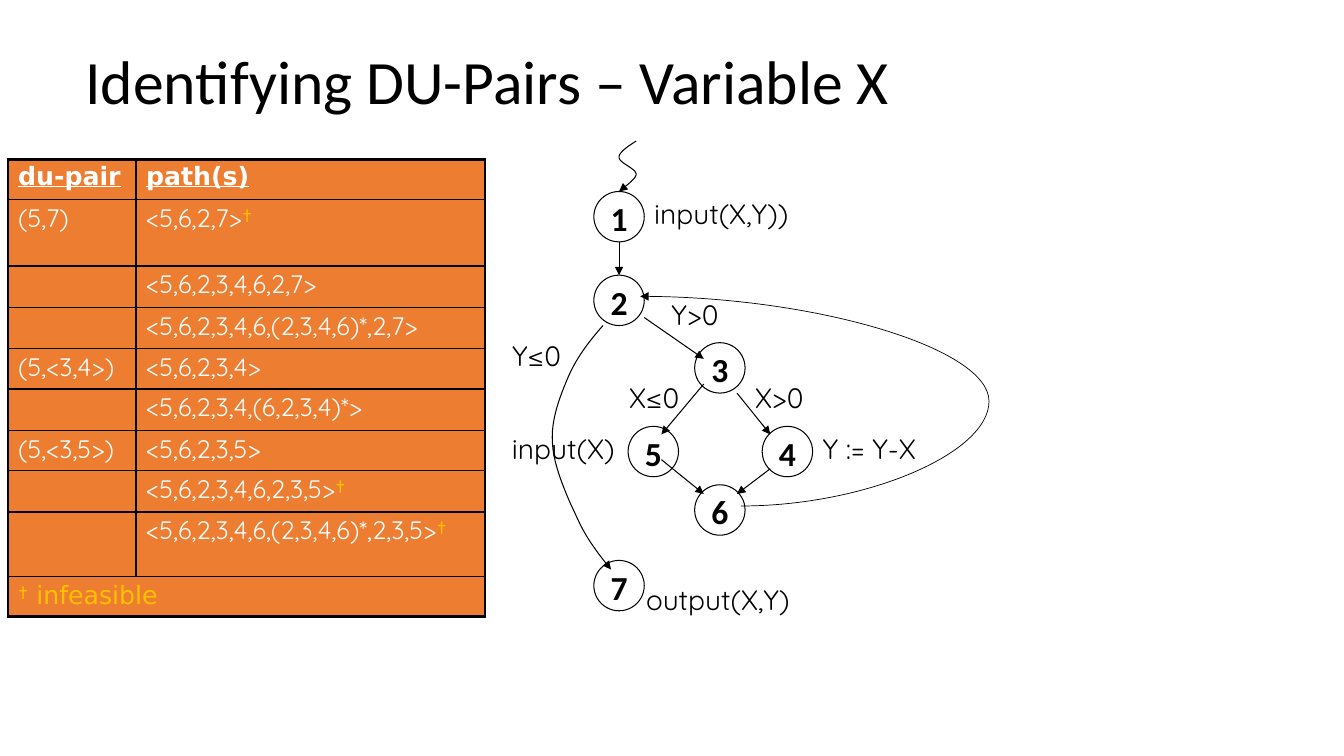
import pptx
import pptx.util
import pptx.dml.color
import pptx.enum.shapes
import pptx.enum.text
import pptx.oxml.ns
from lxml import etree

Inches, Pt = pptx.util.Inches, pptx.util.Pt
SHAPE = pptx.enum.shapes.MSO_SHAPE
LINK = pptx.enum.shapes.MSO_CONNECTOR
ANCHOR = pptx.enum.text.MSO_ANCHOR
ALIGN = pptx.enum.text.PP_ALIGN
qn = pptx.oxml.ns.qn

COLORS = {"ink": "000000", "paper": "FFFFFF", "cell": "ED7D31", "note": "FFC000"}
DAGGER = "†"

ROWS = [
    ("du-pair", "path(s)", 0.4),
    ("(5,7)", "<5,6,2,7>†", 0.66),
    ("", "<5,6,2,3,4,6,2,7>", 0.41),
    ("", "<5,6,2,3,4,6,(2,3,4,6)*,2,7>", 0.41),
    ("(5,<3,4>)", "<5,6,2,3,4>", 0.4),
    ("", "<5,6,2,3,4,(6,2,3,4)*>", 0.41),
    ("(5,<3,5>)", "<5,6,2,3,5>", 0.4),
    ("", "<5,6,2,3,4,6,2,3,5>†", 0.41),
    ("", "<5,6,2,3,4,6,(2,3,4,6)*,2,3,5>†", 0.64),
    ("† infeasible", "", 0.4),
]

# Flow graph geometry, relative to the graph's top left corner
NODE_SIZE = 0.5
NODES = {"1": (0.91, 0.5), "2": (0.91, 1.33), "3": (1.91, 2), "4": (2.58, 2.83),
         "5": (1.25, 2.83), "6": (1.91, 3.41), "7": (0.91, 4.16)}
EDGES = [
    ((1.16, 1), (1.16, 1.33)), ((1.41, 1.75), (2, 2.16)),
    ((2.33, 2.5), (2.66, 2.91)), ((2, 2.41), (1.58, 2.91)),
    ((1.58, 3.16), (2, 3.5)), ((2.66, 3.25), (2.33, 3.5)),
]
LABELS = [
    ("input(X,Y))", 1.41, 0.5, 1.92), ("Y := Y-X", 3.08, 2.83, 1.25),
    ("input(X)", 0, 2.83, 1.33), ("Y>0", 1.58, 1.5, 0.92),
    ("X>0", 2.41, 2.33, 0.83), ("output(X,Y)", 1.33, 4.33, 1.83),
    ("X≤0", 1.16, 2.33, 0.75), ("Y≤0", 0, 1.91, 0.75),
]
ENTRY_CURVE = [(1.33, 0), (1.25, 0.05), (1.16, 0.11), (1.16, 0.16), (1.16, 0.22),
               (1.33, 0.27), (1.33, 0.33), (1.33, 0.38), (1.19, 0.47), (1.16, 0.5)]
EXIT_CURVE = [(1, 1.83), (0.87, 1.98), (0.75, 2.13), (0.66, 2.33), (0.58, 2.52),
              (0.48, 2.76), (0.5, 3), (0.51, 3.23), (0.65, 3.54), (0.75, 3.75),
              (0.84, 3.95), (0.96, 4.1), (1.08, 4.25)]


def rgb(name):
    return pptx.dml.color.RGBColor.from_string(COLORS[name])


def set_font(font, size, name, color="ink", bold=False, underline=False):
    font.size, font.name, font.bold, font.underline = Pt(size), name, bold, underline
    font.color.rgb = rgb(color)


def add_text(s, text, x, y, w, h, size, name, anchor=ANCHOR.TOP):
    tf = s.shapes.add_textbox(Inches(x), Inches(y), Inches(w), Inches(h)).text_frame
    tf.word_wrap, tf.vertical_anchor = True, anchor
    p = tf.paragraphs[0]
    p.text = text
    set_font(p.font, size, name)
    return p


def add_arrow_line(shape, width):
    shape.line.color.rgb = rgb("ink")
    shape.line.width = Pt(width)
    etree.SubElement(shape.line._get_or_add_ln(), qn("a:tailEnd"), type="triangle")


def add_connector(s, kind, x, y, begin, end, width=0.75):
    sp = s.shapes.add_connector(kind, Inches(x + begin[0]), Inches(y + begin[1]),
                                Inches(x + end[0]), Inches(y + end[1]))
    add_arrow_line(sp, width)
    etree.SubElement(sp._element.spPr, qn("a:effectLst"))
    return sp


def add_curve(s, x, y, points, steps=12):
    """Draw chained cubic curves; neighbouring curves share an end point."""
    xy = [points[0]]
    for i in range(0, len(points) - 1, 3):
        a, b, c, d = points[i:i + 4]
        for t in (k / steps for k in range(1, steps + 1)):
            u = 1 - t
            xy.append([u**3 * a[n] + 3 * u * u * t * b[n] + 3 * u * t * t * c[n]
                       + t**3 * d[n] for n in (0, 1)])
    xy = [(Inches(x + px), Inches(y + py)) for px, py in xy]
    fb = s.shapes.build_freeform(*xy[0])
    fb.add_line_segments(xy[1:], close=False)
    sp = fb.convert_to_shape()
    sp.shadow.inherit = False
    sp.fill.background()
    add_arrow_line(sp, 0.75)


def set_borders(cell, widths):
    tcPr = cell._tc.get_or_add_tcPr()
    for i, (side, width) in enumerate(zip("LRTB", widths)):
        ln = etree.Element(qn(f"a:ln{side}"), w=str(Pt(width)))
        fill = etree.SubElement(ln, qn("a:solidFill"))
        etree.SubElement(fill, qn("a:srgbClr"), val=COLORS["ink"])
        tcPr.insert(i, ln)


def add_title(s, x, y, w, h):
    p = add_text(s, "Identifying DU-Pairs – Variable X", x, y, w, h, 44, "Calibri",
                 ANCHOR.MIDDLE)
    p.line_spacing = 0.9


def fill_cell(cell, text, header, footer):
    cell.fill.solid()
    cell.fill.fore_color.rgb = rgb("cell")
    p = cell.text_frame.paragraphs[0]
    p.line_spacing = 0.9
    body, mark, rest = text.partition(DAGGER)
    for part, color in ((body, "paper"), (mark, "note"), (rest, "note")):
        if part:
            r = p.add_run()
            r.text = part
            plain = header or (footer and part == rest)
            set_font(r.font, 18, "DejaVu Sans" if plain else "Quicksand",
                     color, header, header)


def add_pairs_table(s, x, y, w, h):
    last = len(ROWS) - 1
    table = s.shapes.add_table(len(ROWS), 2, Inches(x), Inches(y),
                               Inches(w), Inches(h)).table
    table.columns[0].width = Inches(1.27)
    table.columns[1].width = Inches(w - 1.27)
    for i, (pair, path_text, height) in enumerate(ROWS):
        table.rows[i].height = Inches(height)
        for j, text in enumerate((pair, path_text)):
            cell = table.cell(i, j)
            fill_cell(cell, text, i == 0, i == last)
            outer = (j == 0, j == 1 or i == last, i == 0, i == last)
            set_borders(cell, [2.25 if edge else 1 for edge in outer])
    table.cell(last, 0).merge(table.cell(last, 1))


def add_flow_graph(s, x, y):
    # Nodes
    for number, (dx, dy) in NODES.items():
        sp = s.shapes.add_shape(SHAPE.OVAL, Inches(x + dx), Inches(y + dy),
                                Inches(NODE_SIZE), Inches(NODE_SIZE))
        sp.shadow.inherit = False
        sp.fill.solid()
        sp.fill.fore_color.rgb = rgb("paper")
        sp.line.color.rgb = rgb("ink")
        sp.line.width = Pt(0.75)
        tf = sp.text_frame
        tf.margin_left = tf.margin_right = tf.margin_bottom = 0
        tf.margin_top = Inches(0.03)
        tf.word_wrap, tf.vertical_anchor = False, ANCHOR.MIDDLE
        p = tf.paragraphs[0]
        p.text, p.alignment = number, ALIGN.CENTER
        set_font(p.font, 24, "Calibri", bold=True)
    # Edges
    for begin, end in EDGES:
        add_connector(s, LINK.STRAIGHT, x, y, begin, end)
    for points in (ENTRY_CURVE, EXIT_CURVE):
        add_curve(s, x, y, points)
    # Loop back from node 6 to node 2, bulging to the right
    loop = add_connector(s, LINK.CURVE, x, y, (2.37, 3.62), (1.37, 1.54), 0.5)
    guides = loop._element.spPr.find(qn("a:prstGeom")).find(qn("a:avLst"))
    etree.SubElement(guides, qn("a:gd"), name="adj1", fmla="val -246000")
    # Labels
    for text, dx, dy, w in LABELS:
        add_text(s, text, x + dx, y + dy, w, 0.43, 20, "Quicksand")


def main():
    prs = pptx.Presentation()
    prs.slide_width, prs.slide_height = Inches(13.33), Inches(7.5)
    s = prs.slides.add_slide(prs.slide_layouts[6])
    add_title(s, 0.75, 0.42, 8.5, 0.83)
    add_pairs_table(s, 0.08, 1.58, 4.73, 4.54)
    add_flow_graph(s, 4.98, 1.4)
    prs.save("out.pptx")


if __name__ == "__main__":
    main()
